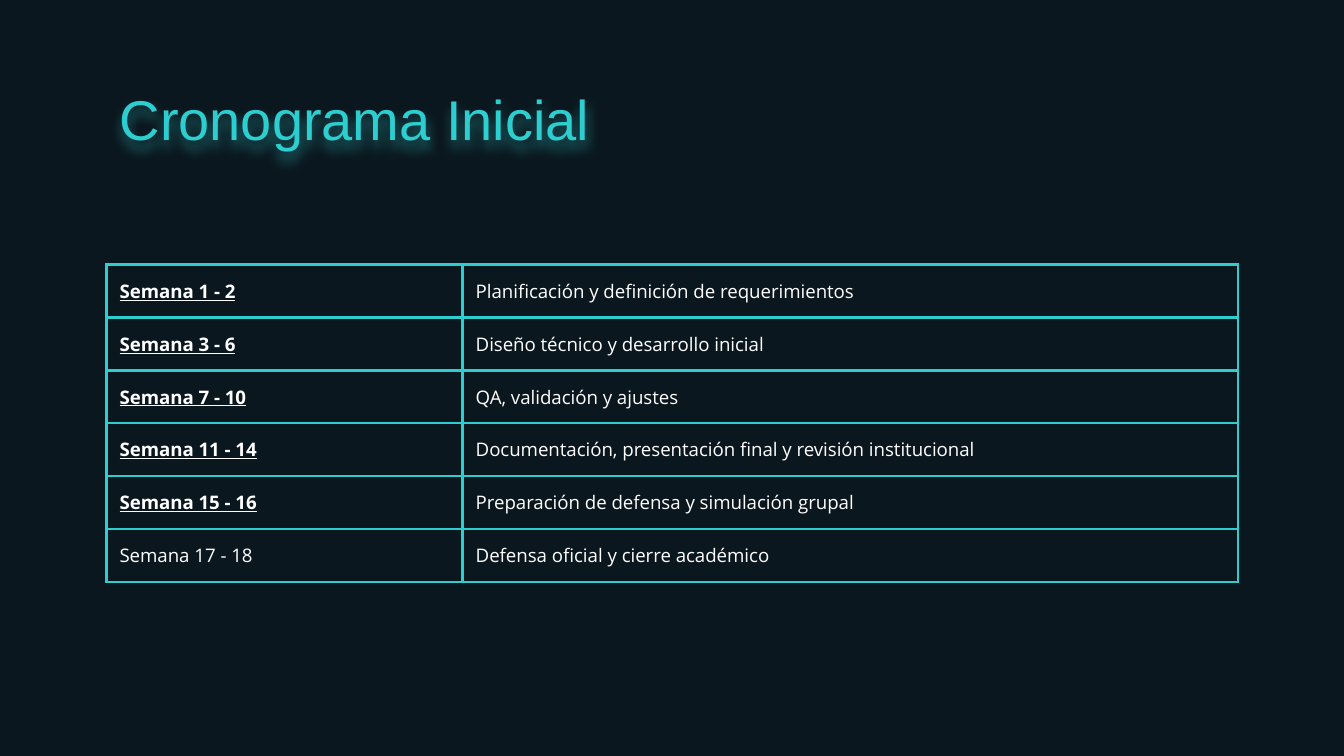
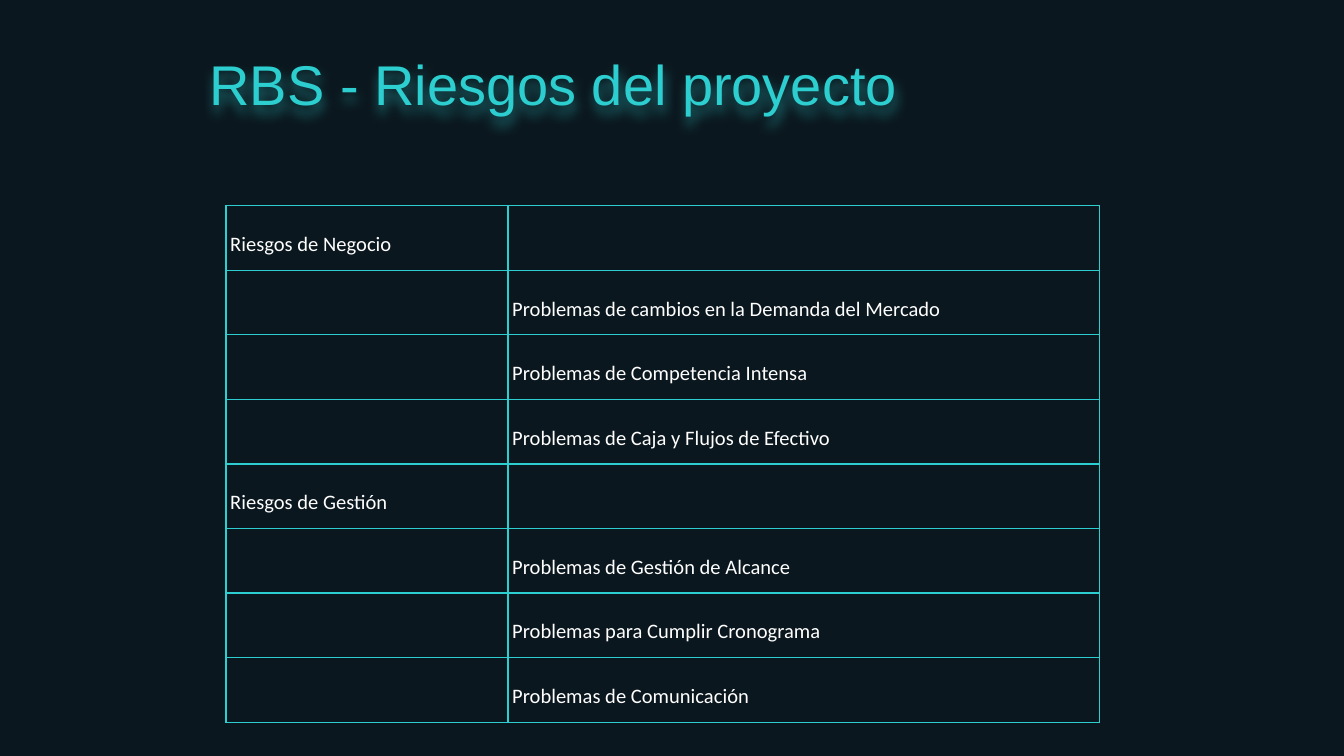
from dataclasses import dataclass

from lxml.etree import SubElement
from pptx import Presentation
from pptx.dml.color import RGBColor
from pptx.enum.text import MSO_ANCHOR, PP_ALIGN
from pptx.oxml import parse_xml
from pptx.oxml.ns import nsdecls, qn
from pptx.slide import Slide
from pptx.table import _Cell
from pptx.text.text import _Run
from pptx.util import Cm, Pt

HUES = {"back": "0B171E", "teal": "2DCECF", "text": "FFFFFF"}
HEAD = {"name": "Arial", "size": Pt(30), "bold": False}
PLAIN = {"name": "Open Sans", "size": Pt(10), "bold": False, "underline": False}
STRONG = PLAIN | {"bold": True, "underline": True}
RISK = {"name": "Calibri", "size": Pt(11), "bold": False}
PAD = Cm(0.25)


@dataclass(frozen=True)
class Title:
    text: str
    left: float
    top: float


@dataclass(frozen=True)
class Grid:
    left: float
    top: float
    cols: tuple[float, ...]
    row: float
    line: float
    side: float
    space: float
    anchor: MSO_ANCHOR
    fill: bool
    rows: list[tuple[str, str]]
    fonts: list[tuple[dict, dict]]


WEEKS = [
    ("Semana 1 - 2", "Planificación y definición de requerimientos"),
    ("Semana 3 - 6", "Diseño técnico y desarrollo inicial"),
    ("Semana 7 - 10", "QA, validación y ajustes"),
    ("Semana 11 - 14", "Documentación, presentación final y revisión institucional"),
    ("Semana 15 - 16", "Preparación de defensa y simulación grupal"),
    ("Semana 17 - 18", "Defensa oficial y cierre académico"),
]
RISKS = {
    "Riesgos de Negocio": [
        "Problemas de cambios en la Demanda del Mercado",
        "Problemas de Competencia Intensa",
        "Problemas de Caja y Flujos de Efectivo",
    ],
    "Riesgos de Gestión": [
        "Problemas de Gestión de Alcance",
        "Problemas para Cumplir Cronograma",
        "Problemas de Comunicación",
    ],
}
TREE = [
    pair
    for group, items in RISKS.items()
    for pair in [(group, ""), *(("", item) for item in items)]
]
PAGES = [
    (
        Title("Cronograma Inicial", 2.01, 1.24),
        Grid(2.01, 5, (6.73, 14.66), 1, 1.5, 0.25, 1, MSO_ANCHOR.MIDDLE, True,
             WEEKS, [(STRONG, PLAIN)] * 5 + [(PLAIN, PLAIN)]),
    ),
    (
        Title("RBS - Riesgos del proyecto", 3.71, 0.58),
        Grid(4.27, 3.89, (5.33, 11.18), 1.22, 0.75, 0.08, 1.15, MSO_ANCHOR.BOTTOM,
             False, TREE, [(RISK, RISK)] * len(TREE)),
    ),
]


def apply(item: object, values: dict) -> None:
    for key, value in values.items():
        setattr(item, key, value)


def style(run: _Run, font: dict, hue: str) -> None:
    apply(run.font, font)
    run.font.color.rgb = RGBColor.from_string(HUES[hue])


def add_glow(props: object) -> None:
    props.append(parse_xml(
        f'<a:effectLst {nsdecls("a")}>'
        '<a:outerShdw blurRad="76200" dist="50800" dir="5400000" '
        'algn="bl" rotWithShape="0">'
        f'<a:srgbClr val="{HUES["teal"]}"><a:alpha val="50000"/></a:srgbClr>'
        '</a:outerShdw></a:effectLst>'
    ))


def draw_title(slide: Slide, title: Title) -> None:
    shape = slide.shapes.title
    apply(shape, {"left": Cm(title.left), "top": Cm(title.top),
                  "width": Cm(21.41), "height": Cm(1.6)})
    frame = shape.text_frame
    apply(frame, {"margin_left": PAD, "margin_right": PAD,
                  "margin_top": Cm(0.35), "margin_bottom": PAD,
                  "word_wrap": True, "vertical_anchor": MSO_ANCHOR.TOP})
    para = frame.paragraphs[0]
    para.alignment = PP_ALIGN.LEFT
    run = para.add_run()
    run.text = title.text
    style(run, HEAD, "teal")
    add_glow(shape._element.spPr)


def add_edges(cell: _Cell, width: float) -> None:
    props = cell._tc.get_or_add_tcPr()
    for side in ("lnL", "lnR", "lnT", "lnB"):
        edge = SubElement(props, qn(f"a:{side}"), w=str(Pt(width)))
        fill = SubElement(edge, qn("a:solidFill"))
        SubElement(fill, qn("a:srgbClr"), val=HUES["teal"])


def fill_cell(cell: _Cell, grid: Grid, text: str, font: dict) -> None:
    add_edges(cell, grid.line)
    if grid.fill:
        cell.fill.solid()
        cell.fill.fore_color.rgb = RGBColor.from_string(HUES["back"])
    else:
        cell.fill.background()
    if not text:
        return
    side = Cm(grid.side)
    apply(cell, {"margin_left": side, "margin_right": side,
                 "margin_top": PAD, "margin_bottom": PAD,
                 "vertical_anchor": grid.anchor})
    para = cell.text_frame.paragraphs[0]
    para.line_spacing = grid.space
    run = para.add_run()
    run.text = text
    style(run, font, "text")


def draw_grid(slide: Slide, grid: Grid) -> None:
    count = len(grid.rows)
    table = slide.shapes.add_table(
        count, len(grid.cols), Cm(grid.left), Cm(grid.top),
        Cm(sum(grid.cols)), Cm(grid.row * count),
    ).table
    apply(table, {"first_row": False, "horz_banding": False})
    for col, width in zip(table.columns, grid.cols):
        col.width = Cm(width)
    for row, texts, fonts in zip(table.rows, grid.rows, grid.fonts):
        row.height = Cm(grid.row)
        for cell, text, font in zip(row.cells, texts, fonts):
            fill_cell(cell, grid, text, font)


def main() -> None:
    deck = Presentation()
    apply(deck, {"slide_width": Cm(25.4), "slide_height": Cm(14.29)})
    back = deck.slide_master.background.fill
    back.solid()
    back.fore_color.rgb = RGBColor.from_string(HUES["back"])
    for title, grid in PAGES:
        slide = deck.slides.add_slide(deck.slide_layouts[5])
        draw_title(slide, title)
        draw_grid(slide, grid)
    deck.save("out.pptx")


if __name__ == "__main__":
    main()
